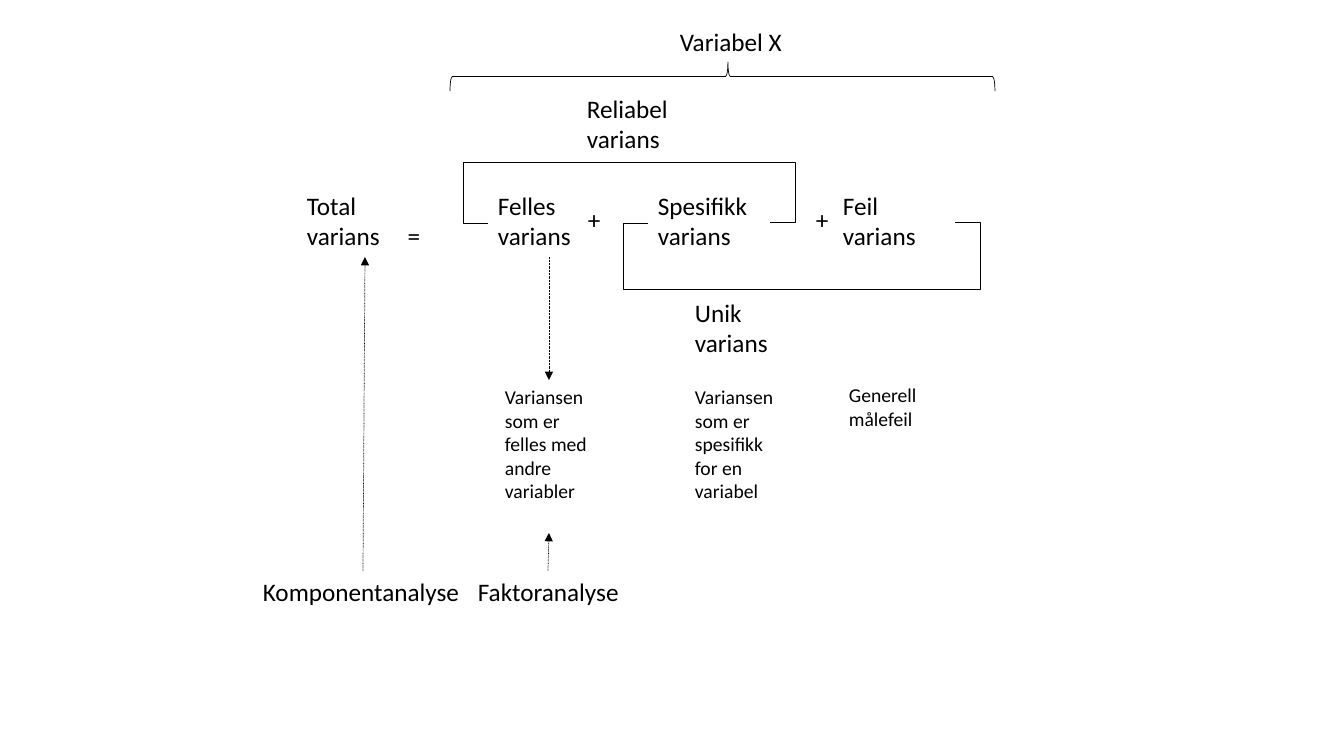
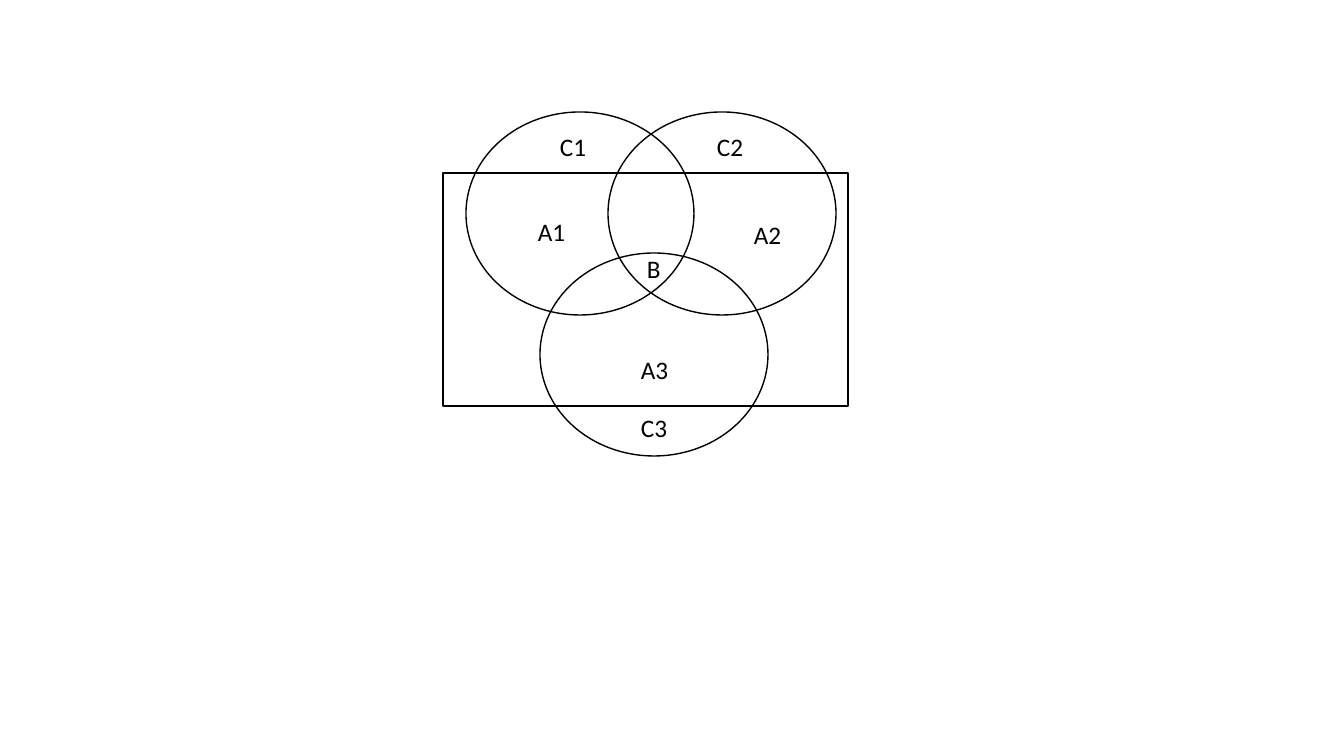
from pptx import Presentation
from pptx.dml.color import RGBColor
from pptx.enum.dml import MSO_LINE_DASH_STYLE as Dash
from pptx.enum.shapes import MSO_CONNECTOR as Link, MSO_SHAPE as Form
from pptx.oxml.ns import qn
from pptx.util import Pt
from lxml.etree import SubElement

PX = 914400 / 100.8
BLACK = RGBColor(0, 0, 0)
FONT = "Calibri"

deck = Presentation()
deck.slide_width, deck.slide_height = 12192000, 6858000
blank = deck.slide_layouts[6]


def emu(*nums):
    return [round(n * PX) for n in nums]


def label(slide, x, y, w, h, lines, size=18):
    frame = slide.shapes.add_textbox(*emu(x, y, w, h)).text_frame
    frame.word_wrap = True
    frame.margin_right = 0
    for i, line in enumerate(lines):
        para = frame.paragraphs[0] if i == 0 else frame.add_paragraph()
        run = para.add_run()
        run.text = line
        run.font.name, run.font.size = FONT, Pt(size)
        run.font.color.rgb = BLACK


# Slide 1: parts of the variance
parts = deck.slides.add_slide(blank)

# Terms of two lines
for x, y, w, top, low in [
    (297, 185, 135, "Total", "varians\t="),
    (488, 185, 122, "Felles", "varians"),
    (648, 185, 122, "Spesifikk", "varians"),
    (833, 185, 122, "Feil", "varians"),
    (577, 88, 122, "Reliabel", "varians"),
    (685, 292, 122, "Unik", "varians"),
]:
    label(parts, x, y, w, 72, [top, low])

# Terms of one line
for x, y, w, text in [
    (670, 21, 224, "Variabel X"),
    (578, 199, 33, "+"),
    (806, 199, 33, "+"),
    (468, 571, 162, "Faktoranalyse"),
    (253, 571, 219, "Komponentanalyse"),
]:
    label(parts, x, y, w, 40, [text])

# Explanations
for x, y, h, text in [
    (495, 380, 152, "Variansen som er felles med andre variabler"),
    (685, 380, 129, "Variansen som er spesifikk for en variabel"),
    (839, 378, 57, "Generell målefeil"),
]:
    label(parts, x, y, 99, h, [text], 14)

# Brackets that join two terms
for left, right, rail in [(488, 770, 162), (623 + 25, 955, 289)]:
    start, end = left - 25, right + 25
    pen = parts.shapes.build_freeform(left, 223, scale=PX)
    pen.add_line_segments(
        [(start, 223), (start, rail), (end, rail), (end, 222), (right, 222)],
        close=False)
    joint = pen.convert_to_shape()
    joint.shadow.inherit = False
    joint.fill.background()
    joint.line.color.rgb, joint.line.width = BLACK, Pt(0.5)

# Brace over the right side
brace = parts.shapes.add_shape(Form.RIGHT_BRACE, *emu(708, -196, 29, 545))
brace.rotation = 270
brace.adjustments[0], brace.adjustments[1] = 0.08, 0.51
brace.shadow.inherit = False
brace.fill.background()
brace.line.color.rgb, brace.line.width = BLACK, Pt(0.5)

# Dotted arrows
for ends in [(549, 257, 549, 380), (548, 571, 549, 533), (363, 571, 365, 257)]:
    arrow = parts.shapes.add_connector(Link.STRAIGHT, *emu(*ends))
    arrow.line.color.rgb, arrow.line.width = BLACK, Pt(0.5)
    arrow.line.dash_style = Dash.ROUND_DOT
    SubElement(arrow.line._get_or_add_ln(), qn("a:tailEnd"), type="triangle")
    SubElement(arrow._element.spPr, qn("a:effectLst"))

# Slide 2: three overlapping sets
sets = deck.slides.add_slide(blank)

# Frame and circles
for form, x, y, w, h in [
    (Form.RECTANGLE, 443, 173, 405, 233),
    (Form.OVAL, 540, 253, 228, 203),
    (Form.OVAL, 608, 112, 228, 203),
    (Form.OVAL, 466, 112, 228, 203),
]:
    ring = sets.shapes.add_shape(form, *emu(x, y, w, h))
    ring.shadow.inherit = False
    ring.fill.background()
    ring.line.color.rgb, ring.line.width = BLACK, Pt(1)

# Names of the areas
for x, y, text in [
    (631, 407, "C3"), (631, 349, "A3"), (637, 248, "B"), (528, 211, "A1"),
    (744, 214, "A2"), (550, 126, "C1"), (707, 126, "C2"),
]:
    label(sets, x, y, 48, 40, [text])

deck.save("out.pptx")
